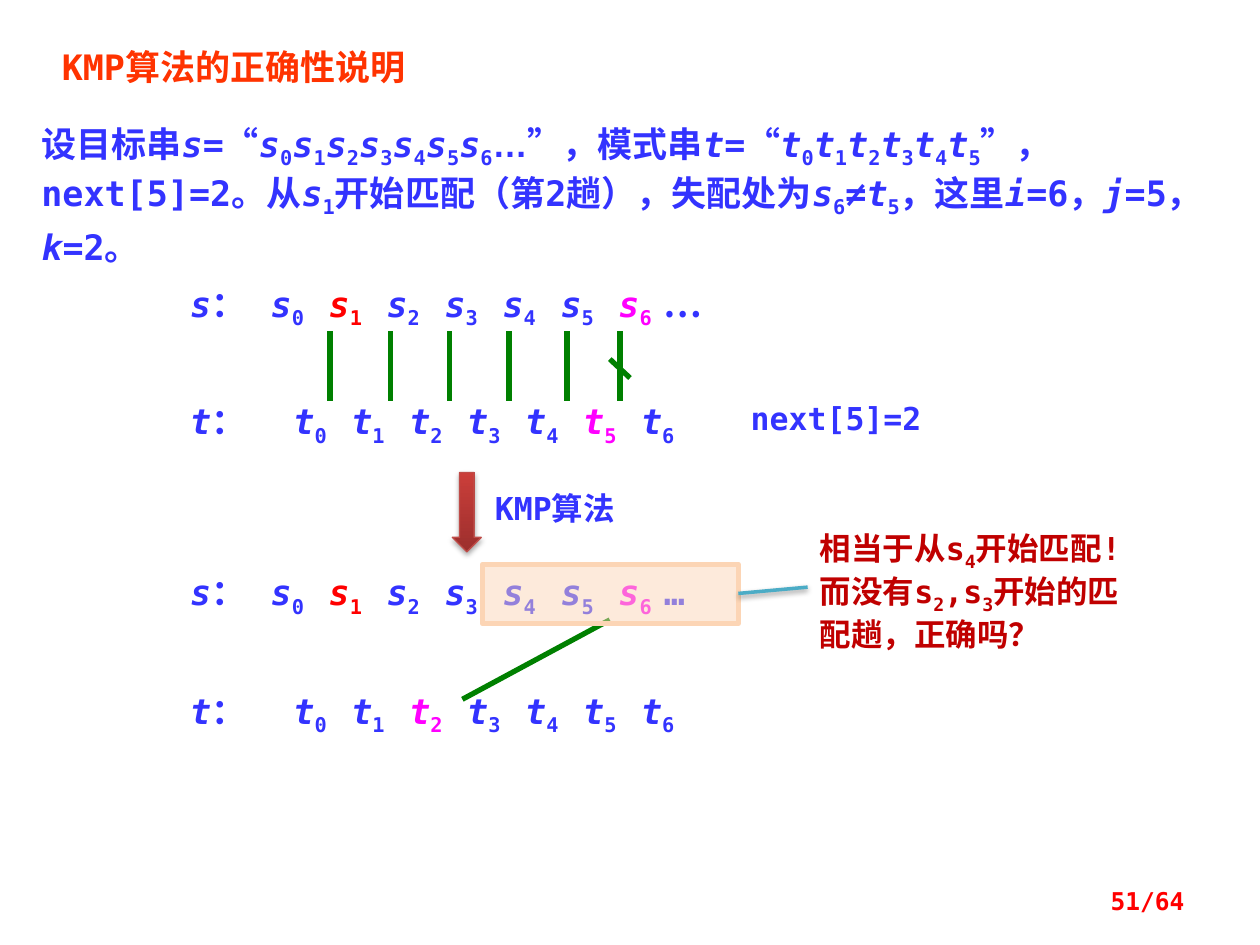
from lxml.etree import SubElement
from pptx import Presentation
from pptx.dml.color import RGBColor
from pptx.enum.shapes import MSO_CONNECTOR, MSO_SHAPE
from pptx.enum.text import MSO_ANCHOR, PP_ALIGN
from pptx.oxml.ns import qn
from pptx.util import Inches, Pt

STRAIGHT = MSO_CONNECTOR.STRAIGHT
DOWN_ARROW, RECTANGLE = MSO_SHAPE.DOWN_ARROW, MSO_SHAPE.RECTANGLE
LEFT, RIGHT = PP_ALIGN.LEFT, PP_ALIGN.RIGHT
TOP, MIDDLE = MSO_ANCHOR.TOP, MSO_ANCHOR.MIDDLE
MONO, CHINESE, ARIAL = "DejaVu Sans Mono", "Noto Sans CJK SC", "Arial"
ORANGE = RGBColor(0xFF, 0x33, 0x00)
BLUE = RGBColor(0x33, 0x33, 0xFF)
RED = RGBColor(0xFF, 0x00, 0x00)
MAGENTA = RGBColor(0xFF, 0x00, 0xFF)
DARK_RED = RGBColor(0xC0, 0x00, 0x00)
GREEN = RGBColor(0x00, 0x80, 0x00)
TEAL = RGBColor(0x4B, 0xAC, 0xC6)
PEACH = RGBColor(0xFC, 0xD5, 0xB5)
ARROW_DARK = RGBColor(0x9C, 0x2F, 0x2D)
ARROW_LIGHT = RGBColor(0xCB, 0x3E, 0x3A)
ARROW_EDGE = RGBColor(0xBF, 0x4C, 0x48)


def write(paragraph, marked_text, size=20, color=BLUE, font=MONO):
    for piece in marked_text.split("|"):
        run = paragraph.add_run()
        run.text = piece.lstrip("*_")
        run.font.size = Pt(size)
        run.font.bold = True
        run.font.italic = piece.startswith("*")
        run.font.color.rgb = color
        run.font.name = font
        properties = run.font._element
        SubElement(properties, qn("a:ea"), typeface=CHINESE)
        if piece.startswith("_"):
            properties.set("baseline", "-25000")


def add_line(x1, y1, x2, y2, color=GREEN, width=3):
    line = slide.shapes.add_connector(STRAIGHT, Inches(x1), Inches(y1), Inches(x2), Inches(y2))
    line.line.color.rgb = color
    line.line.width = Pt(width)
    SubElement(line._element.spPr, qn("a:effectLst"))
    return line


presentation = Presentation()
presentation.slide_width = Inches(10)
presentation.slide_height = Inches(7.5)
slide = presentation.slides.add_slide(presentation.slide_layouts[5])

title = slide.shapes.title
title.left, title.top, title.width, title.height = Inches(0.39), Inches(0.31), Inches(4), Inches(0.44)
title.text_frame.vertical_anchor = TOP
title.text_frame.paragraphs[0].alignment = LEFT
write(title.text_frame.paragraphs[0], "KMP算法的正确性说明", color=ORANGE)

intro = slide.shapes.add_textbox(Inches(0.23), Inches(0.91), Inches(9.61), Inches(0.89))
intro.text_frame.word_wrap = True
paragraph = intro.text_frame.paragraphs[0]
paragraph.line_spacing = Pt(28)
target = "|".join(f"*s|_{index}" for index in range(7))
pattern = "|".join(f"*t|_{index}" for index in range(6))
write(paragraph, f"设目标串|*s|=“|{target}")
write(paragraph, "…", font=ARIAL)
write(paragraph, f"”，模式串|*t|=“|{pattern}|”，next[5]=2。从|*s|_1|开始匹配（第2趟），失配处为"
                 "|*s|_6|≠|*t|_5|，这里|*i|=6，|*j|=5，|*k|=2。")

string_rows = [
    ("s", 2.19, 0.64, {1: RED, 6: MAGENTA}, CHINESE),
    ("t", 3.12, 0.82, {5: MAGENTA}, None),
    ("s", 4.48, 0.64, {1: RED, 6: MAGENTA}, MONO),
    ("t", 5.42, 0.82, {2: MAGENTA}, None),
]
for letter, top, first_stop, highlights, ellipsis_font in string_rows:
    row = slide.shapes.add_textbox(Inches(1.41), Inches(top), Inches(4.92), Inches(0.44))
    row.text_frame.word_wrap = True
    paragraph = row.text_frame.paragraphs[0]
    stops = [first_stop + 0.46 * index for index in range(7)] + [3.76]
    tab_list = SubElement(paragraph._p.get_or_add_pPr(), qn("a:tabLst"))
    for stop in stops:
        SubElement(tab_list, qn("a:tab"), pos=str(Inches(stop)), algn="l")
    write(paragraph, f"*{letter}|：")
    for index in range(7):
        write(paragraph, f"\t|*{letter}|_{index}", color=highlights.get(index, BLUE))
    if ellipsis_font:
        write(paragraph, "\t…", font=ellipsis_font)

for x in (2.62, 3.1, 3.57, 4.04, 4.5, 4.92):
    add_line(x, 2.63, x, 3.18)
add_line(4.84, 2.85, 5, 3)
add_line(4.84, 4.92, 3.67, 5.55)

arrow = slide.shapes.add_shape(DOWN_ARROW, Inches(3.59), Inches(3.75), Inches(0.23), Inches(0.63))
arrow.fill.gradient()
arrow.fill.gradient_angle = 90
for gradient_stop, color in zip(arrow.fill.gradient_stops, (ARROW_DARK, ARROW_LIGHT)):
    gradient_stop.color.rgb = color
arrow.line.color.rgb = ARROW_EDGE
arrow.line.width = Pt(0.75)
arrow.shadow.inherit = False

highlight = slide.shapes.add_shape(RECTANGLE, Inches(3.83), Inches(4.48), Inches(2.03), Inches(0.47))
highlight.shadow.inherit = False
highlight.fill.solid()
highlight.fill.fore_color.rgb = PEACH
fill_color = highlight._element.spPr.find(qn("a:solidFill")).find(qn("a:srgbClr"))
SubElement(fill_color, qn("a:alpha"), val="48000")
highlight.line.color.rgb = PEACH
highlight.line.width = Pt(3)

callout_line = add_line(5.86, 4.71, 6.41, 4.66, TEAL, 2)
for shape, distance, opacity in ((arrow, 1.8, "35000"), (callout_line, 1.6, "38000")):
    effects = shape._element.spPr.find(qn("a:effectLst"))
    shadow = SubElement(effects, qn("a:outerShdw"), blurRad=str(Pt(3.1)), dist=str(Pt(distance)),
                        dir="5400000", rotWithShape="0")
    shadow_color = SubElement(shadow, qn("a:srgbClr"), val="000000")
    SubElement(shadow_color, qn("a:alpha"), val=opacity)

labels = [
    (5.86, 3.12, 1.64, 0.4, 18, BLUE, LEFT, TOP, ["next[5]=2"]),
    (3.83, 3.83, 1.33, 0.4, 18, BLUE, LEFT, TOP, ["KMP算法"]),
    (6.41, 4.15, 2.73, 1.01, 18, DARK_RED, LEFT, TOP,
     ["相当于从s|_4|开始匹配!", "而没有s|_2|,s|_3|开始的匹配趟，正确吗？"]),
    (7.17, 6.95, 2.33, 0.4, 14, RED, RIGHT, MIDDLE, ["51/64"]),
]
for left, top, width, height, size, color, alignment, anchor, lines in labels:
    label = slide.shapes.add_textbox(Inches(left), Inches(top), Inches(width), Inches(height))
    frame = label.text_frame
    frame.word_wrap = True
    frame.vertical_anchor = anchor
    for number, line in enumerate(lines):
        paragraph = frame.add_paragraph() if number else frame.paragraphs[0]
        paragraph.alignment = alignment
        write(paragraph, line, size, color)

presentation.save("out.pptx")
